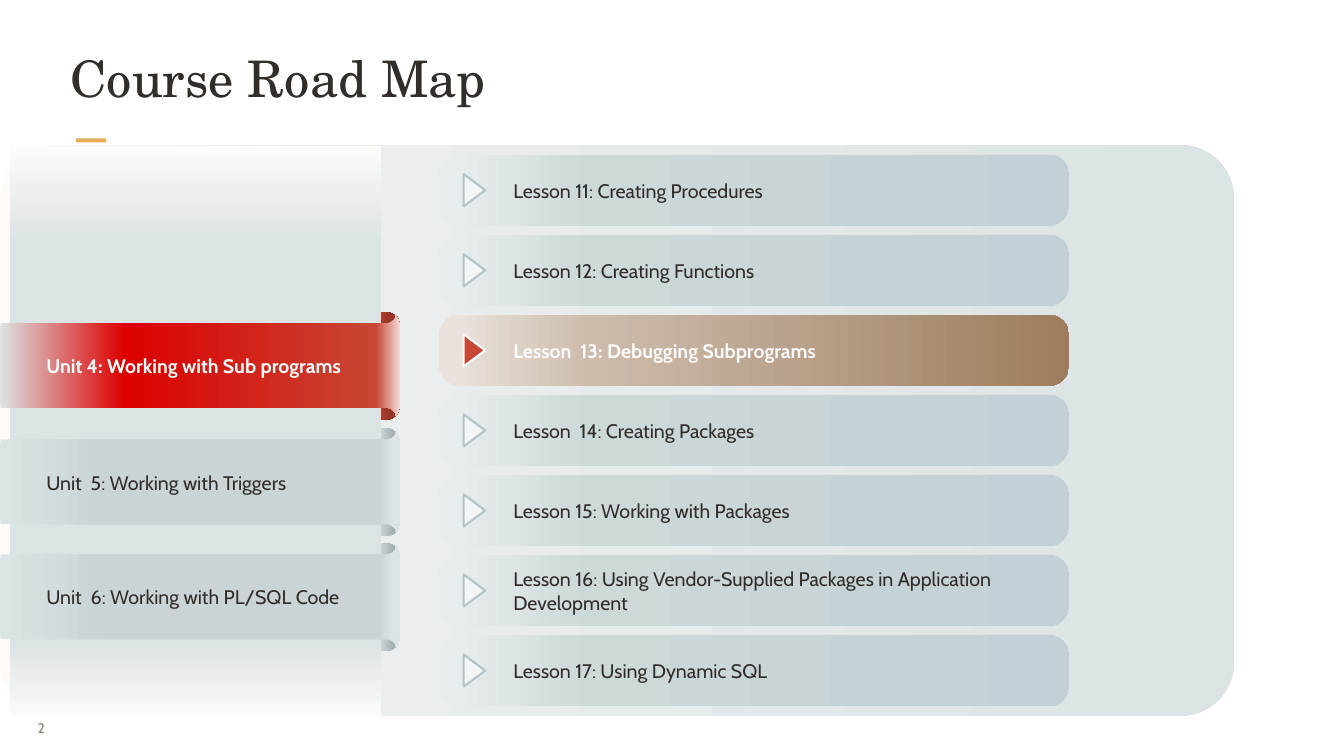
from lxml import etree
from pptx import Presentation
from pptx.dml.color import RGBColor
from pptx.enum.shapes import MSO_SHAPE
from pptx.enum.text import MSO_ANCHOR, PP_ALIGN
from pptx.oxml.ns import qn
from pptx.util import Inches, Pt

INK = "312D2A"
PAPER = "FCFBFA"
MIST = "DCE3E4"
UNITS = [
    (4.69, "Unit 4: Working with Sub programs"),
    (6.42, "Unit  5: Working with Triggers"),
    (8.13, "Unit  6: Working with PL/SQL Code"),
]
LESSONS = [
    "Lesson 11: Creating Procedures",
    "Lesson 12: Creating Functions",
    "Lesson  13: Debugging Subprograms",
    "Lesson  14: Creating Packages",
    "Lesson 15: Working with Packages",
    "Lesson 16: Using Vendor-Supplied Packages in Application Development",
    "Lesson 17: Using Dynamic SQL",
]
CURRENT_UNIT = 0
CURRENT_LESSON = 2
LESSON_TOP, LESSON_PITCH, LESSON_HEIGHT = 2.3, 7.15 / 6, 1.06
TAB_HEIGHT = 1.5


def color(value):
    return RGBColor.from_string(value)


def fill_solid(sp, value):
    sp.fill.solid()
    sp.fill.fore_color.rgb = color(value)


def fill_gradient(sp, stops, angle=0):
    sp.fill.gradient()
    grad = sp._element.spPr.find(qn("a:gradFill"))
    for child in list(grad):
        grad.remove(child)
    stop_list = etree.SubElement(grad, qn("a:gsLst"))
    for position, value in stops:
        stop = etree.SubElement(stop_list, qn("a:gs"), pos=str(position * 1000))
        etree.SubElement(stop, qn("a:srgbClr"), val=value)
    etree.SubElement(grad, qn("a:lin"), ang=str(angle * 60000), scaled="0")


def add_shape(s, kind, x, y, w, h, fill, angle=0, adj=None):
    sp = s.shapes.add_shape(kind, Inches(x), Inches(y), Inches(w), Inches(h))
    sp.shadow.inherit = False
    sp.line.fill.background()
    if adj is not None:
        sp.adjustments[0] = adj
    if isinstance(fill, str):
        fill_solid(sp, fill)
    else:
        fill_gradient(sp, fill, angle)
    return sp


def add_text(s, text, x, y, w, h, size=21, font="Cabin", ink=INK, bold=False,
             insets=(0.1, 0.05), anchor=MSO_ANCHOR.MIDDLE, wrap=True, align=None):
    tf = s.shapes.add_textbox(Inches(x), Inches(y), Inches(w), Inches(h)).text_frame
    tf.word_wrap = wrap
    tf.vertical_anchor = anchor
    tf.margin_left = tf.margin_right = Inches(insets[0])
    tf.margin_top = tf.margin_bottom = Inches(insets[1])
    p = tf.paragraphs[0]
    p.alignment = align
    r = p.add_run()
    r.text = text
    r.font.size = Pt(size)
    r.font.name = font
    r.font.bold = bold
    r.font.color.rgb = color(ink)


def curve(a, b, c, d, steps=8):
    points = []
    for i in range(steps + 1):
        t = i / steps
        u = 1 - t
        weights = (u ** 3, 3 * u * u * t, 3 * u * t * t, t ** 3)
        points.append(tuple(sum(k * q[axis] for k, q in zip(weights, (a, b, c, d)))
                            for axis in (0, 1)))
    return points


def add_tab(s, top, stops):
    upper = [(0, 0.2), (0.01, 0.12)]
    upper += curve((5.76, 0.12), (5.81, 0.12), (5.85, 0.09), (5.88, 0.05))
    upper += curve((5.89, 0), (5.93, 0.05), (5.95, 0.12), (5.95, 0.2))
    outline = upper + [(x, TAB_HEIGHT - y) for x, y in reversed(upper)]
    points = [(Inches(x), Inches(top + y)) for x, y in outline]
    builder = s.shapes.build_freeform(*points[0])
    builder.add_line_segments(points[1:], close=True)
    sp = builder.convert_to_shape()
    sp.shadow.inherit = False
    sp.line.fill.background()
    fill_gradient(sp, stops)


def add_units(s):
    for i, (top, _) in enumerate(UNITS):
        fold = [(73, "C74634"), (92, "953427")] if i == CURRENT_UNIT else [(77, "DEE4E5"), (99, "96A2A7")]
        add_shape(s, MSO_SHAPE.ROUNDED_RECTANGLE, 4.36, top - 0.05, 1.58, 1.61, fold, adj=0.126)
    add_shape(s, MSO_SHAPE.RECTANGLE, 0.15, 2.18, 5.52, 8.48,
              [(0, PAPER), (17, MIST), (87, MIST), (100, PAPER)], angle=90)
    for i, (top, label) in enumerate(UNITS):
        current = i == CURRENT_UNIT
        if current:
            stops = [(0, MIST), (31, "DC0000"), (94, "C74634"), (100, "F4DAD6")]
        else:
            stops = [(0, MIST), (25, "CAD4D7"), (95, "CAD4D7"), (98, MIST)]
        add_tab(s, top, stops)
        add_text(s, label, 0.59, top + 0.53, 5.12, 0.45,
                 ink=PAPER if current else INK, bold=current)


def add_lesson(s, label, top, current):
    if current:
        stops = [(3, "E9E2DB"), (24, "CDBCAC"), (100, "9D7D5E")]
        ink, marker, edge = PAPER, "C74634", PAPER
    else:
        stops = [(3, "E7ECED"), (24, "CDD8D9"), (100, "C2CFD4")]
        ink, marker, edge = INK, "F3F5F6", "B4C3C9"
    add_shape(s, MSO_SHAPE.ROUNDED_RECTANGLE, 6.53, top, 9.38, LESSON_HEIGHT, stops, adj=0.289)
    height = 0.81 if len(label) > 55 else 0.45
    add_text(s, label, 7.54, top + (LESSON_HEIGHT - height) / 2, 7.37, height,
             ink=ink, bold=current)
    sp = add_shape(s, MSO_SHAPE.ISOSCELES_TRIANGLE, 6.82, top + 0.37, 0.48, 0.32, marker)
    sp.rotation = 90
    sp.line.color.rgb = color(edge)
    sp.line.width = Pt(2.25)


def main():
    prs = Presentation()
    prs.slide_width, prs.slide_height = Inches(20), Inches(11.25)
    s = prs.slides.add_slide(prs.slide_layouts[6])
    add_shape(s, MSO_SHAPE.RECTANGLE, 1.13, 2.06, 0.45, 0.06, "E6AC58")
    add_text(s, "2", 0.43, 10.54, 0.65, 0.58, size=15, ink="8B8078",
             insets=(0.13, 0.07), wrap=False, align=PP_ALIGN.JUSTIFY)
    add_text(s, "Course Road Map", 1.02, 0.67, 17.96, 1.28, size=54,
             font="TeX Gyre Schola", insets=(0.03, 0.03), anchor=MSO_ANCHOR.TOP)
    add_shape(s, MSO_SHAPE.ROUNDED_RECTANGLE, 0, 2.16, 18.36, 8.49,
              [(0, PAPER), (26, "EAEEEF"), (100, MIST)], adj=0.093)
    add_units(s)
    for i, label in enumerate(LESSONS):
        add_lesson(s, label, LESSON_TOP + i * LESSON_PITCH, i == CURRENT_LESSON)
    prs.save("out.pptx")


if __name__ == "__main__":
    main()
